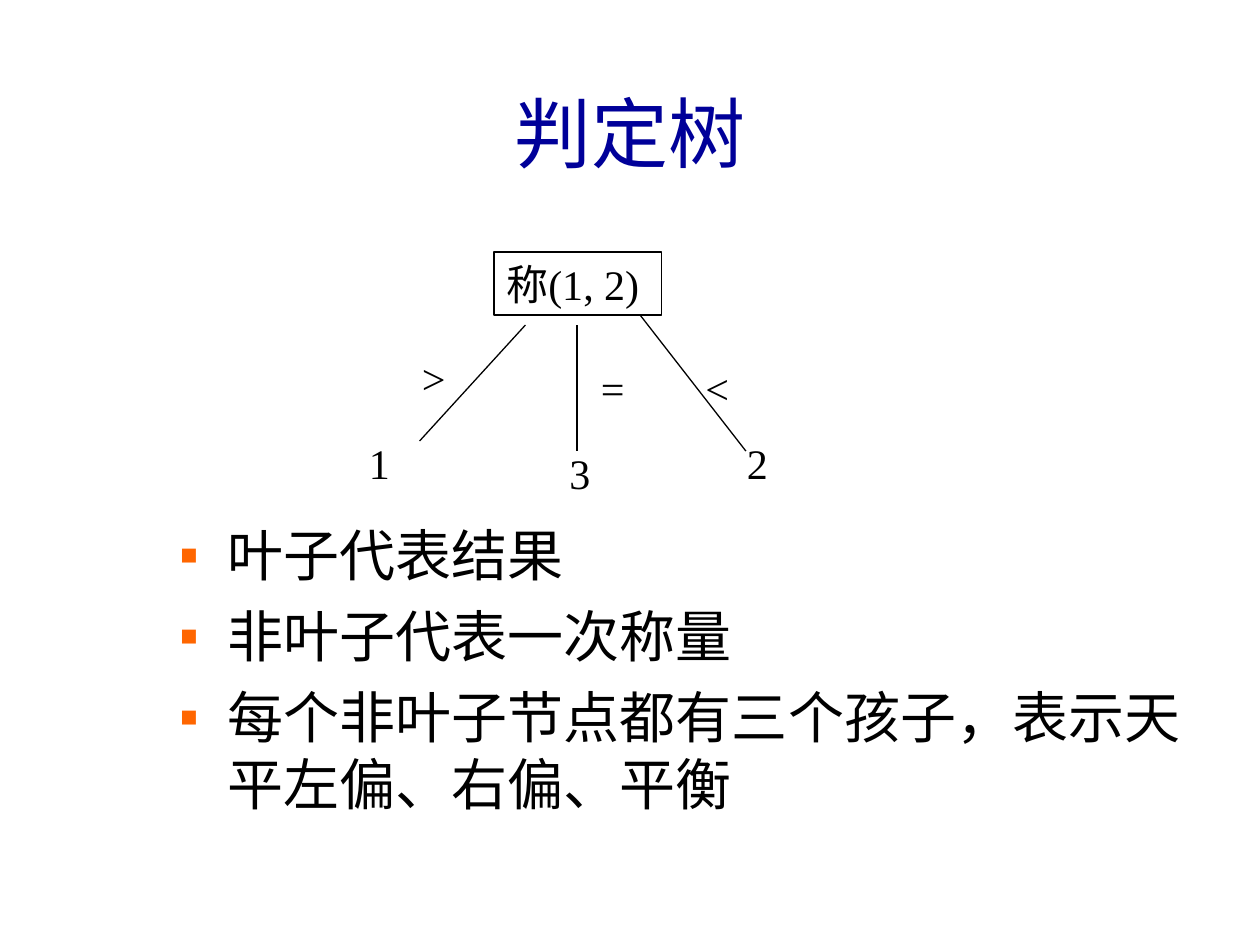
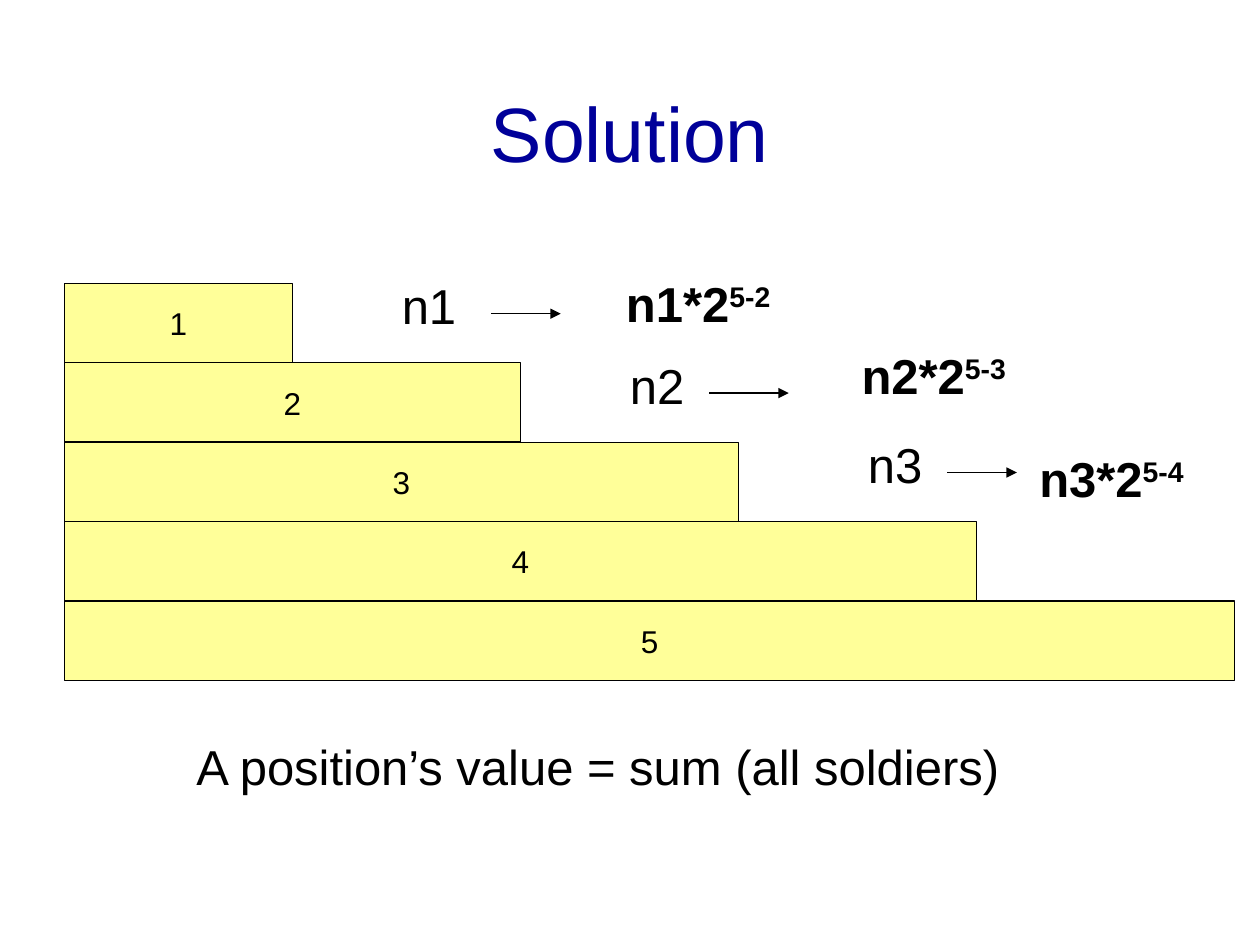
from dataclasses import dataclass

from lxml.etree import SubElement
from pptx import Presentation
from pptx.dml.color import RGBColor
from pptx.enum.shapes import MSO_CONNECTOR as Connector, MSO_SHAPE as ShapeKind
from pptx.enum.text import MSO_ANCHOR as Anchor, MSO_AUTO_SIZE as AutoSize, PP_ALIGN as Align
from pptx.oxml.ns import qn
from pptx.util import Inches, Pt


@dataclass(frozen=True)
class Theme:
    title_color: RGBColor = RGBColor(0x00, 0x00, 0x99)
    ink: RGBColor = RGBColor(0x00, 0x00, 0x00)
    bar_fill: RGBColor = RGBColor(0xFF, 0xFF, 0x99)
    bullet_color: str = "FF6600"
    sans: str = "Arial"
    serif: str = "Times New Roman"
    title_size: int = 44
    bullet_size: int = 32
    formula_size: int = 28
    tree_size: int = 24
    bar_size: int = 18
    line_width: float = 0.75


THEME = Theme()


@dataclass(frozen=True)
class Box:
    left: float
    top: float
    width: float
    height: float

    def lengths(self) -> tuple:
        return tuple(Inches(n) for n in (self.left, self.top, self.width, self.height))


@dataclass(frozen=True)
class Branch:
    """An edge of the decision tree with its sign and its leaf."""
    start: tuple[float, float]
    end: tuple[float, float]
    sign: str
    sign_box: Box
    leaf: str
    leaf_box: Box


@dataclass(frozen=True)
class Term:
    """A soldier count and the weighted value its arrow leads to."""
    number: int
    count_left: float
    arrow_left: float
    arrow_length: float
    value_left: float
    value_top: float


TITLE_BOX = Box(0.33, 0.42, 9.34, 1.25)

# Decision tree content
ROOT_BOX = Box(3.92, 2, 1.33, 0.5)
BRANCHES = (
    Branch((4.17, 2.58), (3.33, 3.5), ">", Box(3.25, 2.75, 0.75, 0.5),
           "1", Box(2.83, 3.42, 1.17, 0.5)),
    Branch((4.58, 2.58), (4.58, 3.58), "=", Box(4.67, 2.83, 0.75, 0.5),
           "3", Box(4.42, 3.5, 0.58, 0.5)),
    Branch((5.08, 2.5), (5.92, 3.58), "<", Box(5.5, 2.83, 1, 0.5),
           "2", Box(5.83, 3.42, 0.58, 0.5)),
)
BULLETS = (
    "叶子代表结果",
    "非叶子代表一次称量",
    "每个非叶子节点都有三个孩子，表示天平左偏、右偏、平衡",
)

# Staircase content
BAR_LEFT, BAR_TOP, BAR_HEIGHT = 0.51, 2.25, 0.63
BAR_WIDTHS = (1.81, 3.62, 5.35, 7.24, 9.29)
COUNT_WIDTH, VALUE_WIDTH, FORMULA_HEIGHT = 0.75, 1.5, 0.57
TERMS = (
    Term(1, 3.09, 3.9, 0.55, 4.87, 2.12),
    Term(2, 4.9, 5.63, 0.63, 6.74, 2.69),
    Term(3, 6.79, 7.52, 0.55, 8.15, 3.51),
)


def add_run(paragraph, text: str, size: int, font: str = THEME.sans,
            color: RGBColor = THEME.ink, bold: bool = False, superscript: bool = False) -> None:
    run = paragraph.add_run()
    run.text = text
    run.font.size = Pt(size)
    run.font.name = font
    run.font.color.rgb = color
    if bold:
        run.font.bold = True
    if superscript:
        run._r.get_or_add_rPr().set("baseline", "30000")


def add_text_box(slide, box: Box):
    """Add an empty text box and return its text frame."""
    frame = slide.shapes.add_textbox(*box.lengths()).text_frame
    frame.word_wrap = True
    return frame


def add_rectangle(slide, box: Box, fill: RGBColor | None = None):
    shape = slide.shapes.add_shape(ShapeKind.RECTANGLE, *box.lengths())
    shape.shadow.inherit = False
    if fill is None:
        shape.fill.background()
    else:
        shape.fill.solid()
        shape.fill.fore_color.rgb = fill
    shape.line.color.rgb = THEME.ink
    shape.line.width = Pt(THEME.line_width)
    return shape


def add_line(slide, start: tuple[float, float], end: tuple[float, float],
             arrow: bool = False) -> None:
    line = slide.shapes.add_connector(
        Connector.STRAIGHT, *(Inches(n) for n in (*start, *end)))
    line.line.color.rgb = THEME.ink
    line.line.width = Pt(THEME.line_width)
    if arrow:
        SubElement(line.line._get_or_add_ln(), qn("a:tailEnd"), type="triangle")
    SubElement(line._element.spPr, qn("a:effectLst"))


def add_bullet(paragraph) -> None:
    properties = paragraph._p.get_or_add_pPr()
    indent = Inches(0.38)
    properties.set("marL", str(indent))
    properties.set("indent", str(-indent))
    color = SubElement(properties, qn("a:buClr"))
    SubElement(color, qn("a:srgbClr"), val=THEME.bullet_color)
    SubElement(properties, qn("a:buFont"), typeface=THEME.sans)
    SubElement(properties, qn("a:buChar"), char="▪")


def add_titled_slide(presentation, title: str):
    slide = presentation.slides.add_slide(presentation.slide_layouts[5])
    shape = slide.shapes.title
    shape.left, shape.top, shape.width, shape.height = TITLE_BOX.lengths()
    frame = shape.text_frame
    frame.auto_size = AutoSize.NONE
    frame.vertical_anchor = Anchor.MIDDLE
    paragraph = frame.paragraphs[0]
    paragraph.alignment = Align.CENTER
    add_run(paragraph, title, THEME.title_size, color=THEME.title_color)
    return slide


def add_tree_text(frame, text: str) -> None:
    paragraph = frame.paragraphs[0]
    paragraph.alignment = Align.LEFT
    paragraph.space_before = Pt(15)
    add_run(paragraph, text, THEME.tree_size, THEME.serif)


def build_tree_slide(presentation) -> None:
    slide = add_titled_slide(presentation, "判定树")

    # Root and its branches; a narrow right margin keeps the root on one line
    frame = add_rectangle(slide, ROOT_BOX).text_frame
    frame.word_wrap = True
    frame.margin_right = Inches(0.02)
    frame.vertical_anchor = Anchor.TOP
    add_tree_text(frame, "称(1, 2)")
    for branch in BRANCHES:
        add_line(slide, branch.start, branch.end)
        add_tree_text(add_text_box(slide, branch.sign_box), branch.sign)
        add_tree_text(add_text_box(slide, branch.leaf_box), branch.leaf)

    # Bullet list
    frame = add_text_box(slide, Box(1.33, 4.08, 8.17, 2.83))
    for index, text in enumerate(BULLETS):
        paragraph = frame.add_paragraph() if index else frame.paragraphs[0]
        paragraph.space_before = Pt(8)
        add_bullet(paragraph)
        add_run(paragraph, text, THEME.bullet_size)


def build_solution_slide(presentation) -> None:
    slide = add_titled_slide(presentation, "Solution")

    # Staircase of numbered bars
    for index, width in enumerate(BAR_WIDTHS):
        box = Box(BAR_LEFT, BAR_TOP + index * BAR_HEIGHT, width, BAR_HEIGHT)
        frame = add_rectangle(slide, box, THEME.bar_fill).text_frame
        frame.vertical_anchor = Anchor.MIDDLE
        paragraph = frame.paragraphs[0]
        paragraph.alignment = Align.CENTER
        add_run(paragraph, str(index + 1), THEME.bar_size)

    # Count, arrow and weighted value beside each of the upper bars
    for term in TERMS:
        step_top = BAR_TOP + (term.number - 1) * BAR_HEIGHT
        count_box = Box(term.count_left, step_top - 0.11, COUNT_WIDTH, FORMULA_HEIGHT)
        count = add_text_box(slide, count_box).paragraphs[0]
        add_run(count, f"n{term.number}", THEME.formula_size)
        arrow_y = step_top + 0.24
        add_line(slide, (term.arrow_left, arrow_y),
                 (term.arrow_left + term.arrow_length, arrow_y), arrow=True)
        value_box = Box(term.value_left, term.value_top, VALUE_WIDTH, FORMULA_HEIGHT)
        value = add_text_box(slide, value_box).paragraphs[0]
        add_run(value, f"n{term.number}*2", THEME.formula_size, bold=True)
        add_run(value, f"5-{term.number + 1}", THEME.formula_size, bold=True, superscript=True)

    # Conclusion
    conclusion = add_text_box(slide, Box(1.46, 5.8, 7.23, FORMULA_HEIGHT)).paragraphs[0]
    add_run(conclusion, "A position’s value = sum (all soldiers)", THEME.formula_size)


def main() -> None:
    presentation = Presentation()
    presentation.slide_width = Inches(10)
    presentation.slide_height = Inches(7.5)
    build_tree_slide(presentation)
    build_solution_slide(presentation)
    presentation.save("out.pptx")


if __name__ == "__main__":
    main()
